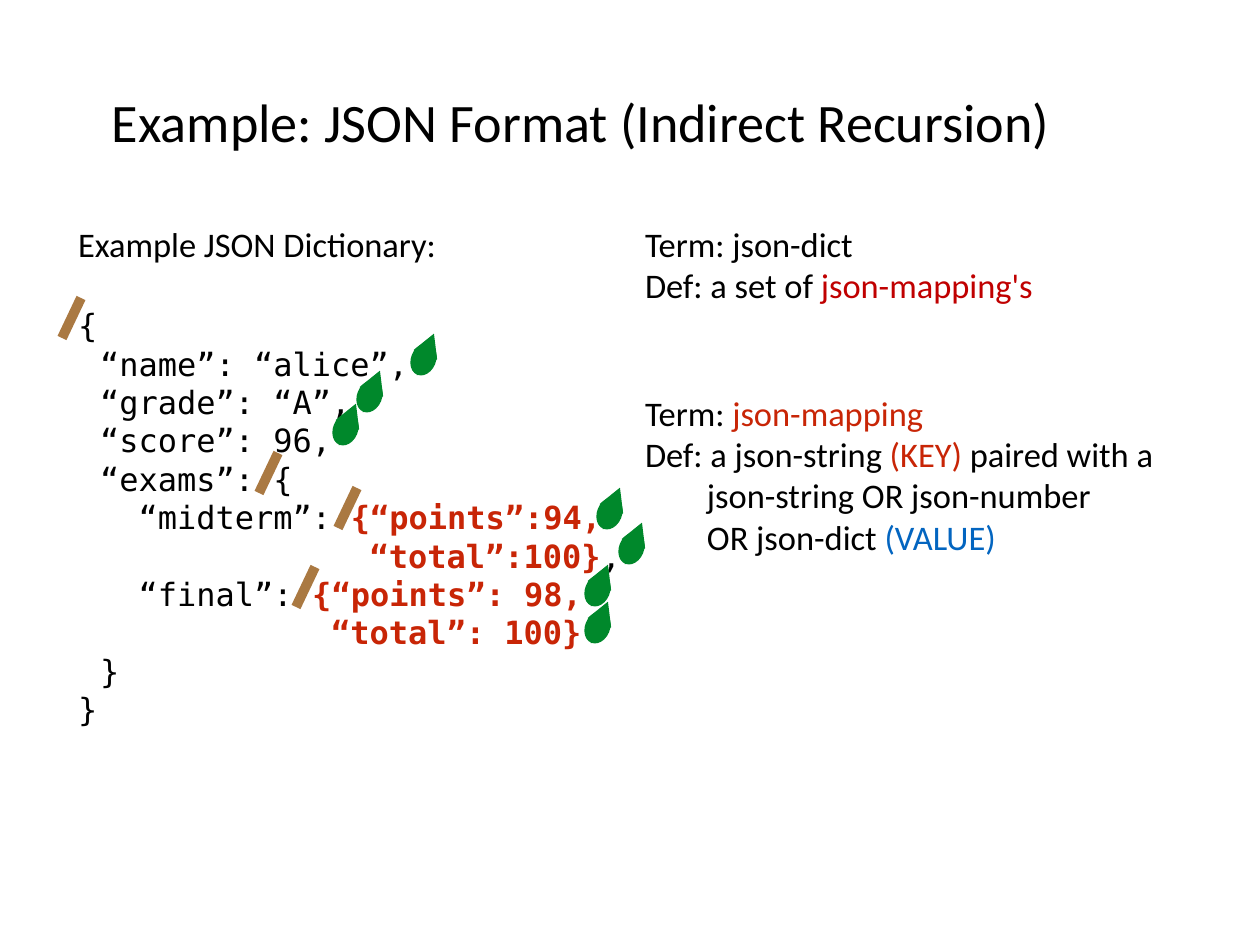
from lxml.etree import SubElement
from pptx import Presentation
from pptx.dml.color import RGBColor
from pptx.enum.shapes import MSO_CONNECTOR, MSO_SHAPE
from pptx.enum.text import MSO_ANCHOR, MSO_AUTO_SIZE, PP_ALIGN
from pptx.oxml.ns import qn
from pptx.util import Pt

PX = 10320  # EMU per px
BLACK, RED, DARK_RED, BLUE = "000000", "C82506", "C00000", "0365C0"
BROWN, GREEN = "AA7942", "00882B"
PROSE, CODE = "Calibri", "DejaVu Sans Mono"


def color(value):
    return RGBColor.from_string(value)


def write(para, *spans, font=PROSE, size=28, pitch=33.6, before=0, indent=0, hanging=0):
    """Fill a paragraph with (text, colour, bold) spans."""
    para.alignment = PP_ALIGN.LEFT
    para.space_before, para.line_spacing = Pt(before), Pt(pitch)
    properties = para._p.get_or_add_pPr()
    properties.set("marL", str(indent * PX))
    properties.set("indent", str(-hanging * PX))
    for text, hue, bold in spans:
        span = para.add_run()
        span.text = text
        span.font.name, span.font.size, span.font.bold = font, Pt(size), bold
        span.font.color.rgb = color(hue)


deck = Presentation()
deck.slide_width, deck.slide_height = 1260 * PX, 945 * PX
page = deck.slides.add_slide(deck.slide_layouts[5])

# Title and the two text columns
title = page.shapes.title
title.left, title.top, title.width, title.height = 107 * PX, 58 * PX, 1076 * PX, 125 * PX
example = page.shapes.add_textbox(73 * PX, 218 * PX, 634 * PX, 521 * PX)
definitions = page.shapes.add_textbox(640 * PX, 218 * PX, 574 * PX, 346 * PX)
for box in (title, example, definitions):
    frame = box.text_frame
    frame.word_wrap, frame.auto_size = True, MSO_AUTO_SIZE.NONE
    frame.margin_left = frame.margin_right = frame.margin_top = frame.margin_bottom = 5 * PX
    frame.vertical_anchor = MSO_ANCHOR.MIDDLE if box is title else MSO_ANCHOR.TOP
write(title.text_frame.paragraphs[0],
      ("Example: JSON Format (Indirect Recursion)", BLACK, False), size=44, pitch=53)

# JSON example: indent in px, plain start, bold red part, plain end
write(example.text_frame.paragraphs[0], ("Example JSON Dictionary:", BLACK, False))
code_lines = [
    (0, "{", "", ""),
    (22, "“name”: “alice”,", "", ""),
    (22, "“grade”: “A”,", "", ""),
    (22, "“score”: 96,", "", ""),
    (22, "“exams”: {", "", ""),
    (22, "  “midterm”: ", "{“points”:94,", ""),
    (22, "", "              “total”:100}", ","),
    (22, "  “final”: ", "{“points”: 98,", ""),
    (22, "", "            “total”: 100}", ""),
    (22, "}", "", ""),
    (0, "}", "", ""),
]
for row, (indent, start, points, end) in enumerate(code_lines):
    spans = [(start, BLACK, False), (points, RED, True), (end, BLACK, False)]
    write(example.text_frame.add_paragraph(), *[span for span in spans if span[0]],
          font=CODE, size=26, pitch=31.2, before=0 if row else 33.6, indent=indent)

# Definitions
frame = definitions.text_frame
write(frame.paragraphs[0], ("Term: json-dict", BLACK, False))
write(frame.add_paragraph(), ("Def: a set of ", BLACK, False),
      ("json-mapping's", DARK_RED, False))
write(frame.add_paragraph(), ("Term: ", BLACK, False), ("json-mapping", RED, False), before=70)
write(frame.add_paragraph(), ("Def: a json-string ", BLACK, False), ("(KEY)", RED, False),
      (" paired with a", BLACK, False), indent=62, hanging=62)
write(frame.add_paragraph(), ("json-string OR json-number", BLACK, False), indent=62)
write(frame.add_paragraph(), ("OR json-dict ", BLACK, False), ("(VALUE)", BLUE, False), indent=62)

# Brown sticks mark each nested dictionary
for left, bottom in [(259, 493), (338, 528), (296, 607), (62, 338)]:
    stick = page.shapes.add_connector(MSO_CONNECTOR.STRAIGHT, left * PX, bottom * PX,
                                      (left + 19) * PX, (bottom - 40) * PX)
    stick.line.color.rgb, stick.line.width = color(BROWN), Pt(8)
    SubElement(stick._element.spPr, qn("a:effectLst"))

# Green leaves mark each plain value: a diamond tip over a round base
for left, top in [(359, 369), (413, 332), (335, 402), (599, 486),
                  (621, 521), (587, 563), (587, 600)]:
    leaf = page.shapes.add_group_shape()
    for kind, x, y, height in [(MSO_SHAPE.DIAMOND, left, top, 45),
                               (MSO_SHAPE.OVAL, left - 2, top + 11, 33)]:
        part = leaf.shapes.add_shape(kind, x * PX, y * PX, 25 * PX, height * PX)
        part.rotation = 22.1
        part.shadow.inherit = False
        part.fill.solid()
        part.fill.fore_color.rgb = color(GREEN)
        part.line.fill.background()

deck.save("out.pptx")
